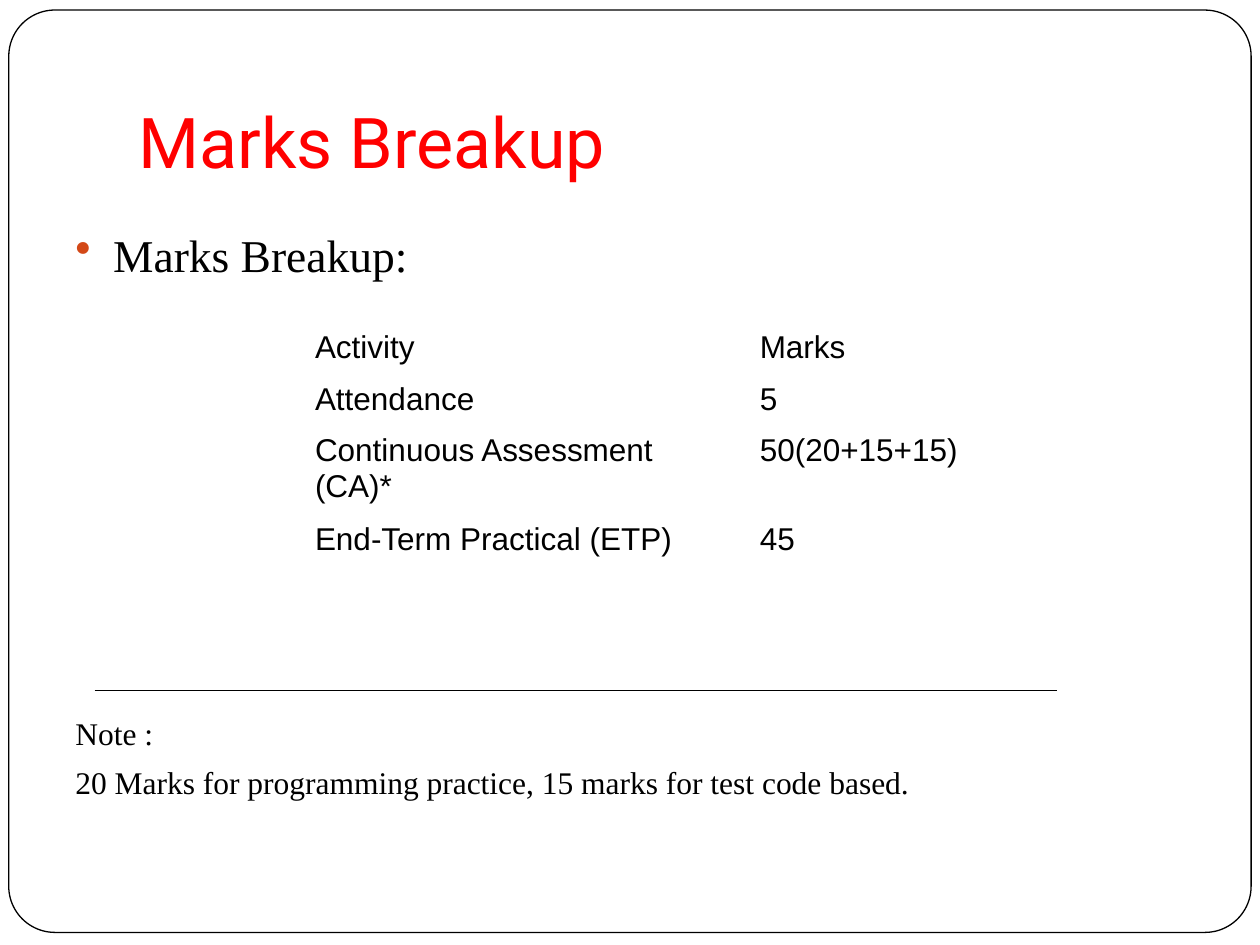
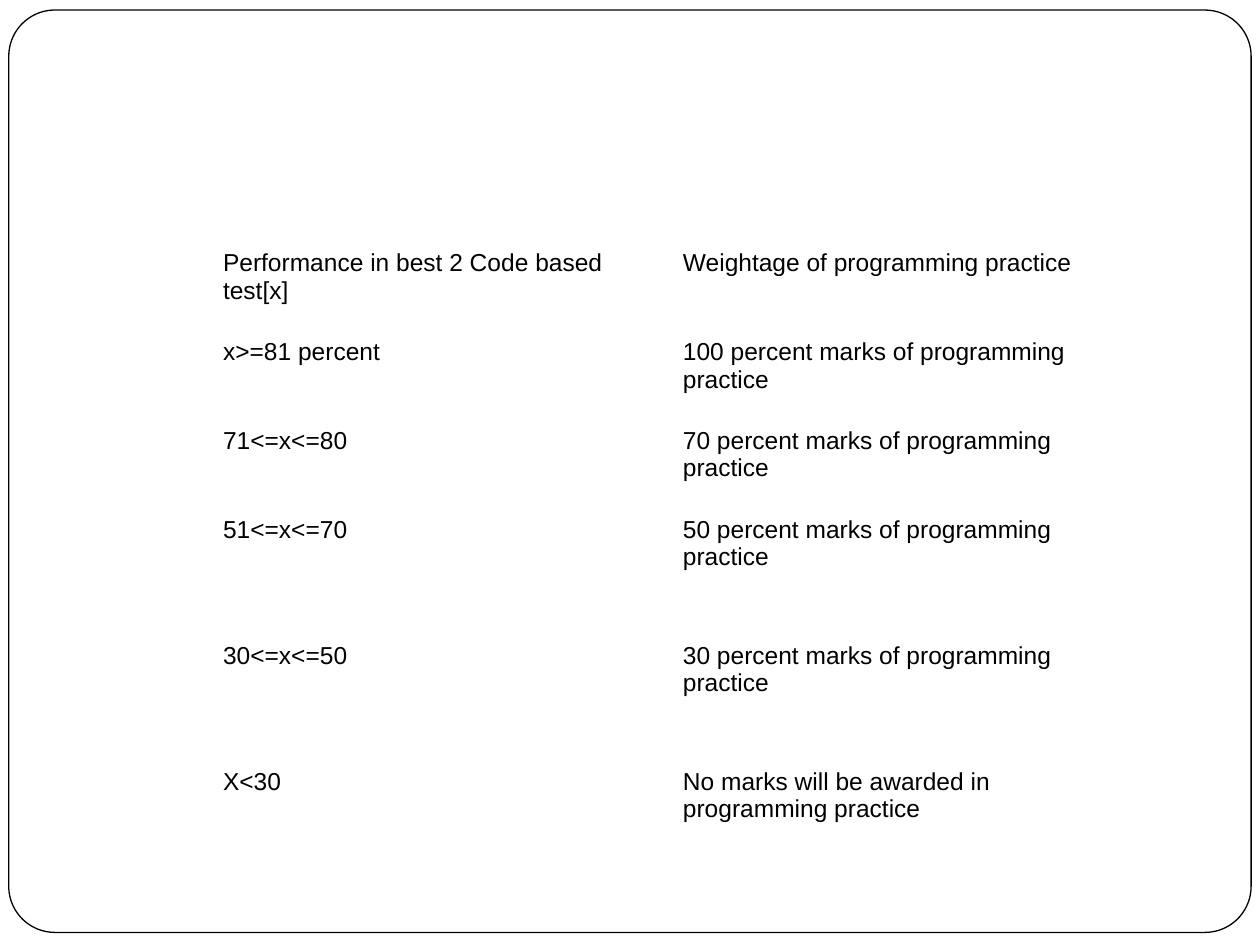
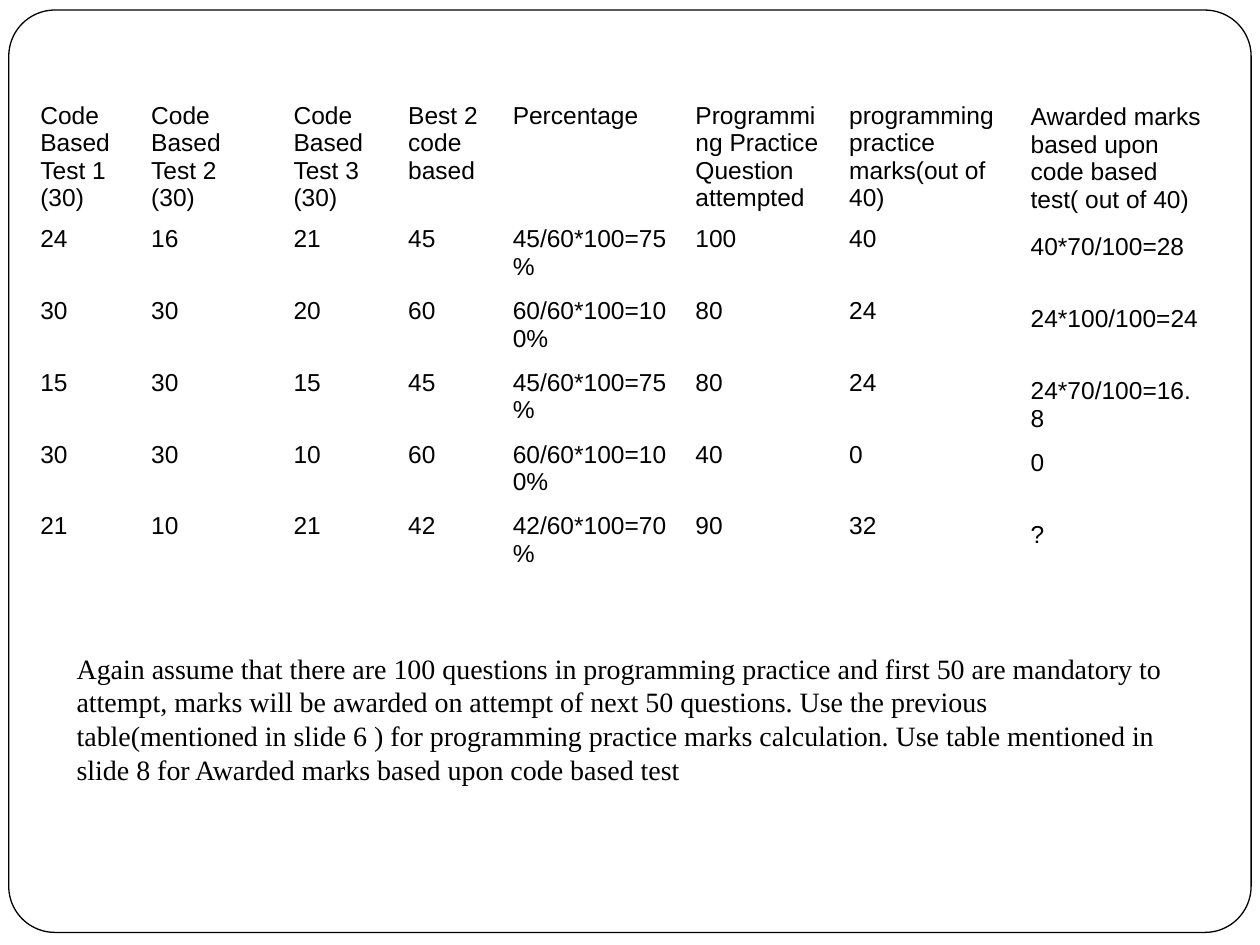
from dataclasses import dataclass

from lxml import etree
from pptx import Presentation
from pptx import util as u
from pptx.dml.color import RGBColor
from pptx.enum import shapes, text
from pptx.oxml.ns import qn


@dataclass(frozen=True)
class Theme:
    ink: str = "000000"
    paper: str = "FFFFFF"
    title_color: str = "FF0000"
    bullet_color: str = "D34817"
    title_font: str = "Roboto"
    body_font: str = "Times New Roman"
    table_font: str = "Arial"
    title_size: float = 40
    lead_size: float = 26
    note_size: float = 18
    small_note_size: float = 16
    table_size: float = 18
    small_table_size: float = 14
    paragraph_gap: float = 6
    line_width: float = 0.75


class Deck:
    """Holds the theme and the current slide; lengths are grid columns and rows."""

    COLUMNS, ROWS = 100, 75

    def __init__(self, theme):
        self.theme = theme
        self.presentation = Presentation()
        self.presentation.slide_width = u.Inches(10)
        self.presentation.slide_height = u.Inches(7.5)
        self.slide = None

    def x(self, columns):
        return u.Emu(round(self.presentation.slide_width * columns / self.COLUMNS))

    def y(self, rows):
        return u.Emu(round(self.presentation.slide_height * rows / self.ROWS))

    def box(self, left, top, width, height):
        return self.x(left), self.y(top), self.x(width), self.y(height)

    def new_slide(self):
        """Start a slide with the rounded frame that all slides share."""
        self.slide = self.presentation.slides.add_slide(self.presentation.slide_layouts[6])
        frame = self.slide.shapes.add_shape(
            shapes.MSO_SHAPE.ROUNDED_RECTANGLE, *self.box(0.7, 0.8, 98.6, 73.2))
        frame.adjustments[0] = 0.05
        frame.shadow.inherit = False
        frame.fill.solid()
        frame.fill.fore_color.rgb = RGBColor.from_string(self.theme.paper)
        self.style_line(frame.line)

    def style_line(self, line):
        line.color.rgb = RGBColor.from_string(self.theme.ink)
        line.width = u.Pt(self.theme.line_width)

    def add_run(self, paragraph, words, font, size, color=None):
        run = paragraph.add_run()
        run.text = words
        run.font.name = font
        run.font.size = u.Pt(size)
        run.font.color.rgb = RGBColor.from_string(color or self.theme.ink)

    def add_lines(self, frame, lines, font, size, color=None, gap=0):
        for index, words in enumerate(lines):
            paragraph = frame.add_paragraph() if index else frame.paragraphs[0]
            if index and gap:
                paragraph.space_before = u.Pt(gap)
            self.add_run(paragraph, words, font, size, color)

    def text_box(self, area, lines, size, font=None, color=None):
        frame = self.slide.shapes.add_textbox(*self.box(*area)).text_frame
        frame.word_wrap = True
        self.add_lines(frame, lines, font or self.theme.body_font, size, color,
                       self.theme.paragraph_gap)
        return frame

    def title(self, words):
        frame = self.text_box((10, 3, 85, 12.5), [words], self.theme.title_size,
                              self.theme.title_font, self.theme.title_color)
        frame.vertical_anchor = text.MSO_ANCHOR.BOTTOM
        frame.margin_bottom = self.y(1)

    def bullet(self, area, words):
        frame = self.text_box(area, [words], self.theme.lead_size)
        properties = frame.paragraphs[0]._p.get_or_add_pPr()
        properties.set("marL", str(self.x(3)))
        properties.set("indent", str(-self.x(3)))
        color = etree.SubElement(properties, qn("a:buClr"))
        etree.SubElement(color, qn("a:srgbClr"), val=self.theme.bullet_color)
        etree.SubElement(properties, qn("a:buChar"), char="•")

    def table(self, left, top, widths, heights, records, size):
        shape = self.slide.shapes.add_table(
            len(heights), len(widths), *self.box(left, top, sum(widths), sum(heights)))
        table = shape.table
        table.first_row = table.horz_banding = False
        for column, width in zip(table.columns, widths):
            column.width = self.x(width)
        for row, height in zip(table.rows, heights):
            row.height = self.y(height)
        for cell in table.iter_cells():
            cell.fill.background()
        for row, record in zip(table.rows, records):
            for cell, words in zip(row.cells, record):
                self.add_lines(cell.text_frame, words.split("\n"), self.theme.table_font, size)

    def rule(self, left, right, row):
        connector = self.slide.shapes.add_connector(
            shapes.MSO_CONNECTOR.STRAIGHT, self.x(left), self.y(row), self.x(right), self.y(row))
        self.style_line(connector.line)
        etree.SubElement(connector._element.spPr, qn("a:effectLst"))


def marks_breakup(deck):
    deck.new_slide()
    deck.title("Marks Breakup")
    deck.bullet((5, 17.5, 90, 6), "Marks Breakup:")
    # The last row of the table stays empty
    deck.table(24, 25.7, [35.3, 24.6], [4.1] * 5, [
        ("Activity", "Marks"),
        ("Attendance", "5"),
        ("Continuous Assessment (CA)*", "50(20+15+15)"),
        ("End-Term Practical (ETP)", "45"),
    ], deck.theme.table_size)
    deck.rule(7.5, 83.9, 54.8)
    deck.text_box((5, 56.2, 90, 8), [
        "Note :",
        "20 Marks for programming practice, 15 marks for test code based.",
    ], deck.theme.note_size)


def weightage(deck):
    deck.new_slide()
    bands = [("x>=81 percent", 100), ("71<=x<=80", 70), ("51<=x<=70", 50), ("30<=x<=50", 30)]
    records = [("Performance in best 2 Code based test[x]", "Weightage of programming practice")]
    records += [(band, f"{share} percent marks of programming practice") for band, share in bands]
    records.append(("X<30", "No marks will be awarded in programming practice"))
    deck.table(16.7, 19.3, [36.5] * 2, [7.05] * 3 + [10] * 2 + [7.05], records,
               deck.theme.small_table_size)


def worked_example(deck):
    deck.new_slide()
    size = deck.theme.small_table_size
    heights = [9.8] + [5.7] * 5

    # Scores: three tests, best two, percentage, questions attempted, practice marks
    scores = [
        (24, 16, 21, 45, 75, 100, 40),
        (30, 30, 20, 60, 100, 80, 24),
        (15, 30, 15, 45, 75, 80, 24),
        (30, 30, 10, 60, 100, 40, 0),
        (21, 10, 21, 42, 70, 90, 32),
    ]
    records = [("Code Based Test 1 (30)", "Code Based Test 2\n(30)", "Code Based Test 3 (30)",
                "Best 2 code based", "Percentage", "Programming Practice Question attempted",
                "programming practice marks(out of 40)")]
    for *tests, best, percentage, attempted, marks in scores:
        formula = f"{best}/60*100={percentage}%"
        records.append([str(value) for value in (*tests, best, formula, attempted, marks)])
    deck.table(2.2, 7.6, [8.8, 11.3, 9.1, 8.3, 14.5, 12.2, 14.5], heights, records, size)

    # Explanation
    deck.text_box((5.1, 51.2, 88.5, 19.7), [
        "Again assume that there are 100 questions in programming practice and first 50 are "
        "mandatory to attempt, marks will be awarded on attempt of next 50 questions. Use the "
        "previous table(mentioned in slide 6 ) for programming practice marks calculation. Use "
        "table mentioned in slide 8 for Awarded marks based upon code based test",
    ], deck.theme.small_note_size)

    # Awarded marks
    awarded = ["Awarded marks based upon code based test( out of 40)", "40*70/100=28",
               "24*100/100=24", "24*70/100=16.8", "0", "?"]
    deck.table(80.8, 7.7, [15.7], heights, [(entry,) for entry in awarded], size)


def main():
    deck = Deck(Theme())
    for build in (marks_breakup, weightage, worked_example):
        build(deck)
    deck.presentation.save("out.pptx")


if __name__ == "__main__":
    main()
